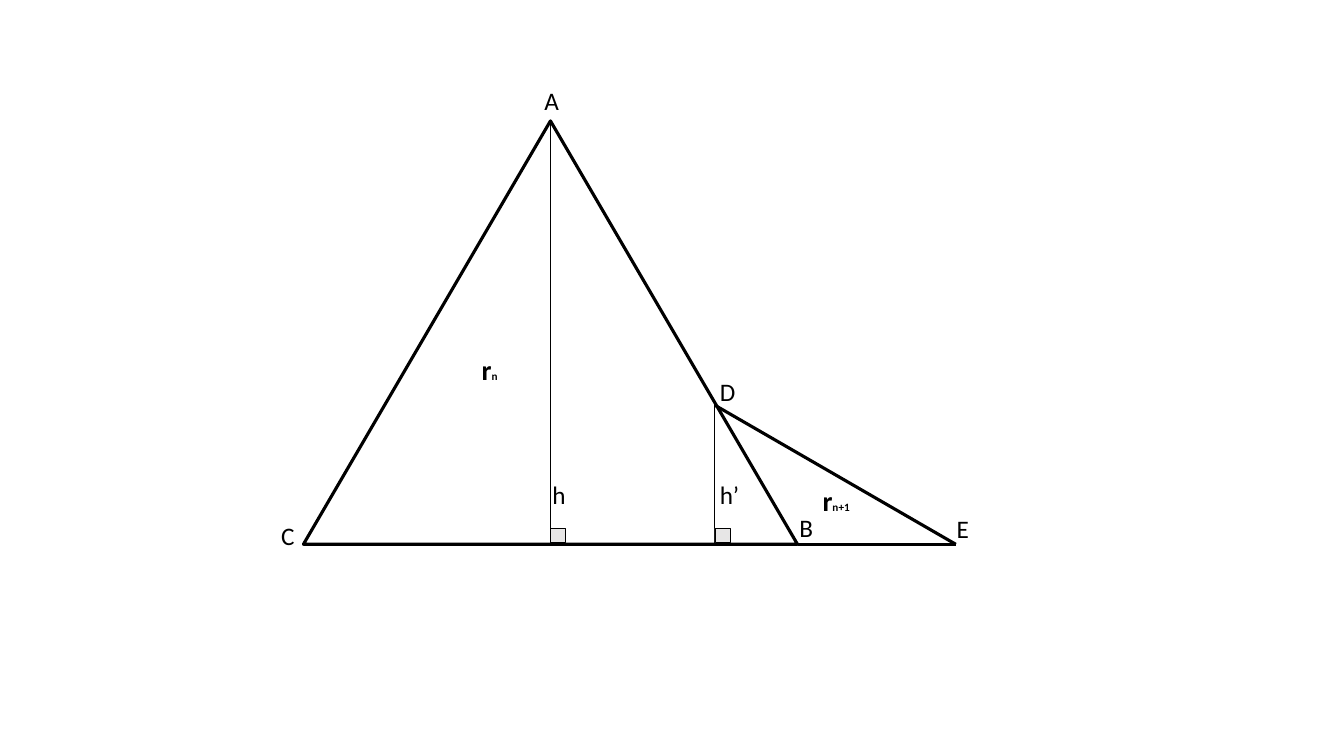
import pptx
import pptx.util
import pptx.dml.color
import pptx.enum.shapes
import pptx.enum.text
import pptx.oxml.xmlchemy
from pptx.util import Inches

THEME = {
    "font": "Calibri",
    "ink": pptx.dml.color.RGBColor.from_string("000000"),
    "paper": pptx.dml.color.RGBColor.from_string("FFFFFF"),
    "marker": pptx.dml.color.RGBColor.from_string("E7E6E6"),
    "label": 18,
    "radius": 20,
    "index": 8,
    "side": 2.25,
    "height": 0.5,
}

prs = pptx.Presentation()
prs.slide_width = Inches(13.33)
prs.slide_height = Inches(7.5)
s = prs.slides.add_slide(prs.slide_layouts[6])


def add_solid(preset, left, top, width, height, fill, weight):
    sp = s.shapes.add_shape(preset, Inches(left), Inches(top), Inches(width), Inches(height))
    sp.shadow.inherit = False
    sp.fill.solid()
    sp.fill.fore_color.rgb = THEME[fill]
    sp.line.color.rgb = THEME["ink"]
    sp.line.width = pptx.util.Pt(THEME[weight])


def add_label(left, top, width, height, runs, wrap, bold):
    tb = s.shapes.add_textbox(Inches(left), Inches(top), Inches(width), Inches(height))
    tf = tb.text_frame
    tf.word_wrap = wrap
    tf.auto_size = pptx.enum.text.MSO_AUTO_SIZE.SHAPE_TO_FIT_TEXT
    for text, size in runs:
        r = tf.paragraphs[0].add_run()
        r.text = text
        r.font.name = THEME["font"]
        r.font.size = pptx.util.Pt(THEME[size])
        r.font.bold = bold
        r.font.color.rgb = THEME["ink"]


base = 5.4
A, B, D, E = (5.46, 1.2), (7.91, base), (7.09, 4.02), (9.48, base)
half_side = B[0] - A[0]

add_solid(pptx.enum.shapes.MSO_SHAPE.ISOSCELES_TRIANGLE, A[0] - half_side, A[1],
          2 * half_side, base - A[1], "paper", "side")

for start, end, weight in [
    (B, E, "side"),
    (D, E, "side"),
    (A, (A[0], base), "height"),
    (D, (D[0], base), "height"),
]:
    cxn = s.shapes.add_connector(pptx.enum.shapes.MSO_CONNECTOR.STRAIGHT,
                                 *[Inches(v) for v in start + end])
    cxn.line.color.rgb = THEME["ink"]
    cxn.line.width = pptx.util.Pt(THEME[weight])
    cxn._element.spPr.append(pptx.oxml.xmlchemy.OxmlElement("a:effectLst"))

for foot in (A[0], D[0]):
    add_solid(pptx.enum.shapes.MSO_SHAPE.RECTANGLE, foot, base - 0.16, 0.15, 0.14,
              "marker", "height")

add_label(5.3, 0.8, 0.35, 0.4, [("A", "label")], False, False)

for text, left, top in [
    ("B", 7.83, 5.03),
    ("C", 2.69, 5.11),
    ("h", 5.38, 4.71),
    ("h’", 7.04, 4.71),
    ("D", 7.04, 3.68),
    ("E", 9.39, 5.04),
]:
    add_label(left, top, 0.41, 0.4, [(text, "label")], True, False)

for index, left, top, width in [("n", 4.68, 3.45, 0.36), ("n+1", 8.06, 4.75, 0.47)]:
    add_label(left, top, width, 0.44, [("r", "radius"), (index, "index")], False, True)

prs.save("out.pptx")
